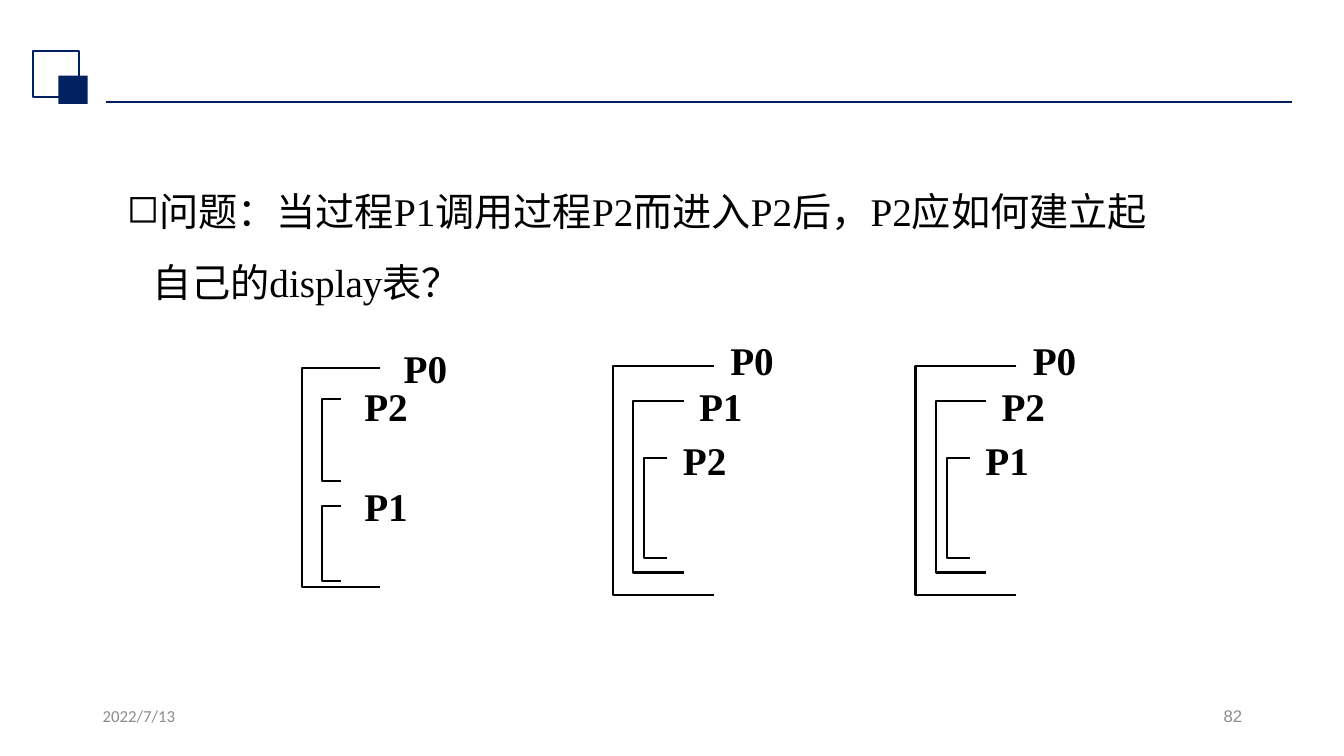
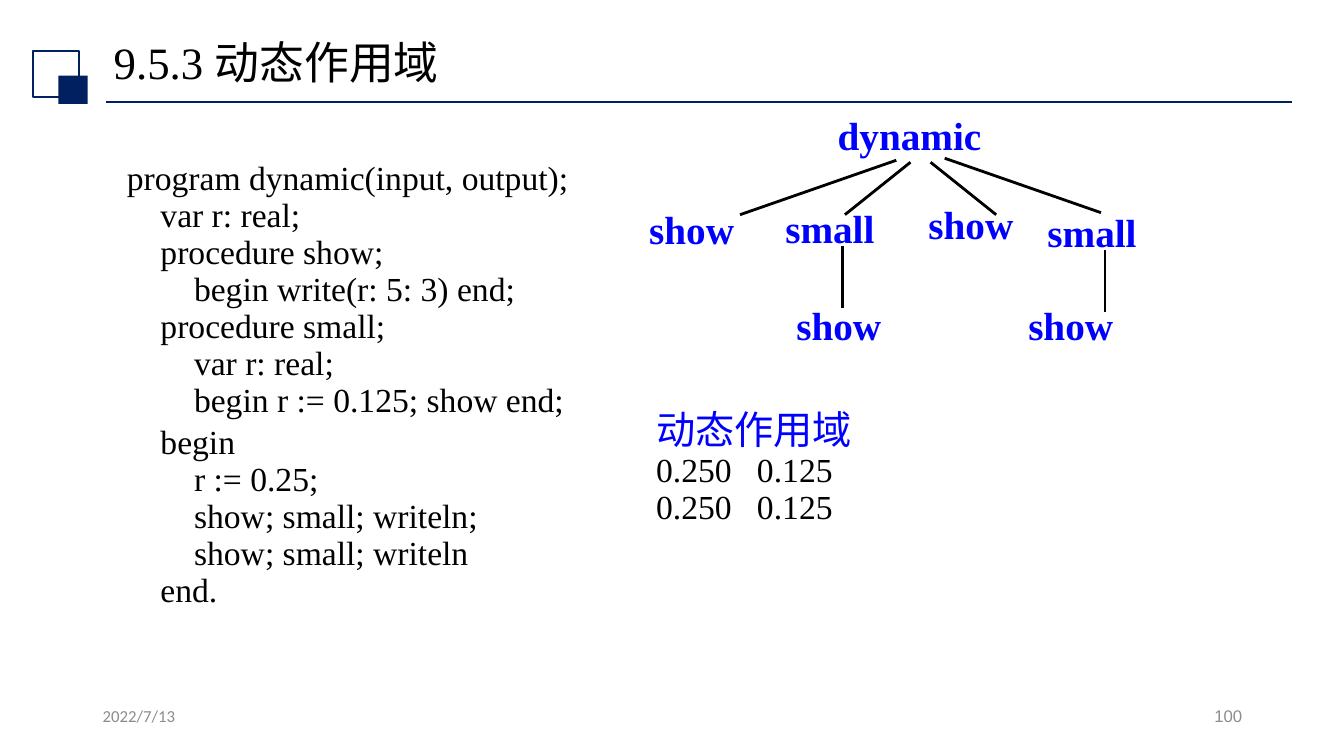
from lxml import etree
from pptx import Presentation
from pptx.dml.color import RGBColor
from pptx.enum.shapes import MSO_CONNECTOR, MSO_SHAPE
from pptx.enum.text import MSO_ANCHOR, PP_ALIGN
from pptx.oxml.ns import qn
from pptx.util import Inches, Pt

NAVY = RGBColor(0x00, 0x20, 0x60)
BLACK = RGBColor(0x00, 0x00, 0x00)
GREY = RGBColor(0x8C, 0x8C, 0x8C)
BLUE = RGBColor(0x00, 0x00, 0xFF)
SERIF = "Times New Roman"
LEFT, CENTER, RIGHT = PP_ALIGN.LEFT, PP_ALIGN.CENTER, PP_ALIGN.RIGHT
TOP, MIDDLE = MSO_ANCHOR.TOP, MSO_ANCHOR.MIDDLE
RECT, STRAIGHT = MSO_SHAPE.RECTANGLE, MSO_CONNECTOR.STRAIGHT


def add_text(slide, text, x, y, w, h, size=28, font=SERIF, color=BLACK, bold=False,
             align=LEFT, anchor=TOP, wrap=True, spacing=1.0, before=0):
    """Add a text box with one paragraph per line and return its paragraphs."""
    tf = slide.shapes.add_textbox(Inches(x), Inches(y), Inches(w), Inches(h)).text_frame
    tf.word_wrap = wrap
    tf.vertical_anchor = anchor
    for i, line in enumerate(text.split("\n")):
        p = tf.add_paragraph() if i else tf.paragraphs[0]
        p.alignment = align
        p.line_spacing = spacing
        p.space_before = Pt(before)
        r = p.add_run()
        r.text = line
        r.font.size = Pt(size)
        r.font.name = font
        r.font.bold = bold
        r.font.color.rgb = color
    return tf.paragraphs


def add_line(slide, x1, y1, x2, y2, color=BLACK, width=2):
    sp = slide.shapes.add_connector(STRAIGHT, Inches(x1), Inches(y1), Inches(x2), Inches(y2))
    sp.line.color.rgb = color
    sp.line.width = Pt(width)
    etree.SubElement(sp._element.spPr, qn("a:effectLst"))


prs = Presentation()
prs.slide_width = Inches(13.33)
prs.slide_height = Inches(7.5)

# Shared frame: rule, corner squares, title, date and slide number
slides = []
for title, number in [("", "82"), ("9.5.3 动态作用域", "100")]:
    s = prs.slides.add_slide(prs.slide_layouts[6])
    slides.append(s)
    add_line(s, 1.05, 1.01, 12.81, 1.01, color=NAVY, width=1.25)
    for x, y, w, h, filled in [(0.33, 0.51, 0.45, 0.45, False), (0.58, 0.75, 0.29, 0.28, True)]:
        sp = s.shapes.add_shape(RECT, Inches(x), Inches(y), Inches(w), Inches(h))
        sp.shadow.inherit = False
        if filled:
            sp.fill.solid()
            sp.fill.fore_color.rgb = NAVY
            sp.line.fill.background()
        else:
            sp.fill.background()
            sp.line.color.rgb = NAVY
            sp.line.width = Pt(1.5)
    if title:
        add_text(s, title, 1.03, 0.34, 11.5, 0.61, size=32, anchor=MIDDLE, spacing=0.9)
    add_text(s, "2022/7/13", 0.92, 6.95, 3, 0.4, size=12, font="Calibri", color=GREY)
    add_text(s, number, 9.42, 6.95, 3, 0.4, size=12, font="Arial", color=GREY, align=RIGHT)
question_slide, scope_slide = slides

# Slide 1: question
question = add_text(question_slide,
                    "问题：当过程P1调用过程P2而进入P2后，P2应如何建立起自己的display表？",
                    1.16, 1.58, 10.7, 4.51, spacing=1.5, before=10)[0]
pPr = question._p.get_or_add_pPr()
pPr.set("marL", str(Inches(0.25)))
pPr.set("indent", str(-Inches(0.25)))
etree.SubElement(pPr, qn("a:buChar")).set("char", "◻")

# Slide 1: nesting brackets (x, y, width, height) and labels (text, x, y)
side_by_side = (
    [(3, 3.65, 0.77, 2.17), (3.19, 3.96, 0.19, 0.81), (3.19, 5.02, 0.19, 0.74)],
    [("P0", 3.77, 3.4), ("P2", 3.38, 3.78), ("P1", 3.38, 4.77)])
nestings = [side_by_side]
for x, names in [(6.08, ("P0", "P1", "P2")), (9.08, ("P0", "P2", "P1"))]:
    brackets = [(x, 3.63, 1, 2.27), (x + 0.2, 3.98, 0.5, 1.7), (x + 0.31, 4.54, 0.23, 1)]
    places = [(x + 0.93, 3.32), (x + 0.62, 3.78), (x + 0.46, 4.31)]
    nestings.append((brackets, [(name, *at) for name, at in zip(names, places)]))

for brackets, labels in nestings:
    for x, y, w, h in brackets:
        left, right, top, bottom = Inches(x), Inches(x + w), Inches(y), Inches(y + h)
        outline = question_slide.shapes.build_freeform(right, top)
        outline.add_line_segments([(left, top), (left, bottom), (right, bottom)], close=False)
        sp = outline.convert_to_shape()
        sp.shadow.inherit = False
        sp.fill.background()
        sp.line.color.rgb = BLACK
        sp.line.width = Pt(1.5)
    for name, x, y in labels:
        add_text(question_slide, name, x, y, 0.9, 0.5, bold=True, align=CENTER,
                 anchor=MIDDLE, wrap=False)

# Slide 2: program, one (indent level, text) per line
program = [
    (0, "program dynamic(input, output);"),
    (1, "var r: real;"),
    (1, "procedure show;"),
    (2, "begin write(r: 5: 3) end;"),
    (1, "procedure small;"),
    (2, "var r: real;"),
    (2, "begin r := 0.125; show end;"),
    (1, "begin"),
    (2, "r := 0.25;"),
    (2, "show; small; writeln;"),
    (2, "show; small; writeln"),
    (1, "end."),
]
lines = add_text(scope_slide, "\n".join(text for _, text in program), 1.16, 1.58, 5.1, 4.51,
                 size=24, spacing=0.8, before=3.4)
for p, (level, text) in zip(lines, program):
    p._p.get_or_add_pPr().set("marL", str(Inches(level / 3)))
    if text == "begin":
        p.space_before = Pt(7)

# Slide 2: printed result
result = add_text(scope_slide, "动态作用域\n0.250\t0.125\n0.250\t0.125", 6.41, 4.06, 3, 1.3,
                  size=24, spacing=0.8, before=3.4)
result[0].runs[0].font.size = Pt(28)
result[0].runs[0].font.color.rgb = BLUE

# Slide 2: call tree
for name, x, y in [("dynamic", 8.21, 1.06), ("show", 6.34, 1.99), ("small", 7.69, 1.98),
                   ("show", 9.11, 1.94), ("small", 10.29, 2.02), ("show", 7.8, 2.94),
                   ("show", 10.1, 2.94)]:
    add_text(scope_slide, name, x, y, 1.75, 0.54, color=BLUE, bold=True)
for ends in [(8.89, 1.59, 7.34, 2.13), (9.03, 1.61, 8.38, 2.13), (9.23, 1.61, 9.88, 2.13),
             (9.37, 1.57, 10.92, 2.11), (8.36, 2.44, 8.36, 3.06), (10.96, 2.48, 10.96, 3.1)]:
    add_line(scope_slide, *ends)

prs.save("out.pptx")
